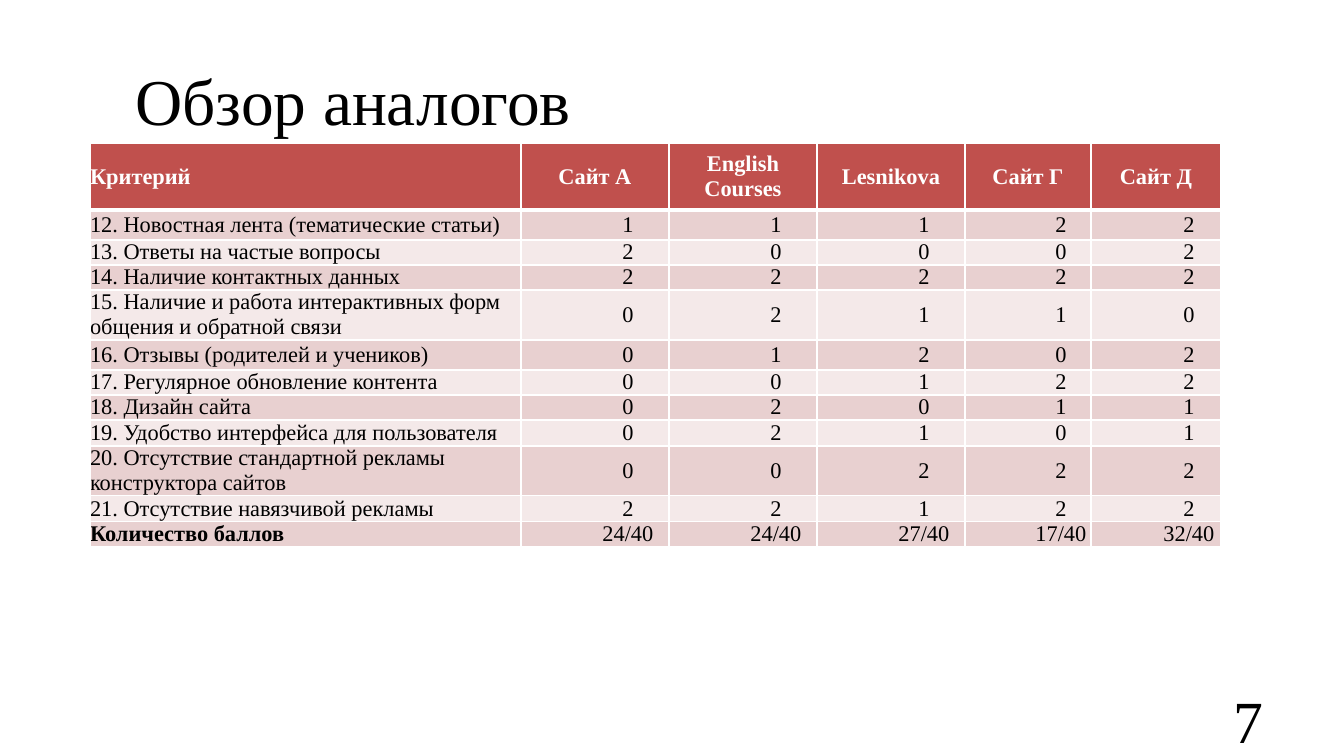
from lxml.etree import SubElement
from pptx import Presentation
from pptx.dml.color import RGBColor
from pptx.enum.text import MSO_ANCHOR as Anchor, MSO_AUTO_SIZE as AutoSize, PP_ALIGN as Align
from pptx.oxml.ns import qn
from pptx.util import Emu, Pt

EMU_PER_PX = 914400 / 134.4
FONT = "Times New Roman"
COLORS = {
    "text": "000000",
    "white": "FFFFFF",
    "header": "C0504D",
    "odd_row": "E8D0D0",
    "even_row": "F4E9E9",
}
COLUMN_WIDTHS = [431, 148, 148, 148, 126, 130]
ROW_HEIGHTS = [67, 30, 25, 25, 50, 30, 25, 25, 26, 50, 26, 25]
SCORE_INDENT = 66
HEADERS = ["Критерий", "Сайт А", "English Courses", "Lesnikova",
           "Сайт Г", "Сайт Д"]
SCORES = [
    ("12. Новостная лента (тематические статьи)", "1 1 1 2 2"),
    ("13. Ответы на частые вопросы", "2 0 0 0 2"),
    ("14. Наличие контактных данных", "2 2 2 2 2"),
    ("15. Наличие и работа интерактивных форм общения и обратной связи", "0 2 1 1 0"),
    ("16. Отзывы (родителей и учеников)", "0 1 2 0 2"),
    ("17. Регулярное обновление контента", "0 0 1 2 2"),
    ("18. Дизайн сайта", "0 2 0 1 1"),
    ("19. Удобство интерфейса для пользователя", "0 2 1 0 1"),
    ("20. Отсутствие стандартной рекламы конструктора сайтов", "0 0 2 2 2"),
    ("21. Отсутствие навязчивой рекламы", "2 2 1 2 2"),
    ("Количество баллов", "24/40 24/40 27/40 17/40 32/40"),
]


def px(length):
    return Emu(round(length * EMU_PER_PX))


def rgb(name):
    return RGBColor.from_string(COLORS[name])


def write_text(text_frame, text, size, align, color="text", bold=False):
    text_frame.text = text
    text_frame.word_wrap = True
    paragraph = text_frame.paragraphs[0]
    paragraph.alignment = align
    font = paragraph.font
    font.name, font.size, font.bold = FONT, Pt(size), bold
    font.color.rgb = rgb(color)
    return paragraph


def add_title(slide, text):
    title = slide.shapes.title
    title.left, title.top, title.width, title.height = map(px, (122, 54, 1199, 91))
    title.text_frame.auto_size = AutoSize.NONE
    title.text_frame.vertical_anchor = Anchor.MIDDLE
    write_text(title.text_frame, text, 35, Align.LEFT)


def add_slide_number(slide, number):
    box = slide.shapes.add_textbox(*map(px, (964, 700, 313, 40)))
    box.text_frame.vertical_anchor = Anchor.MIDDLE
    write_text(box.text_frame, number, 32, Align.RIGHT)


def set_borders(cell, bottom_width):
    """Draw white borders; they must stand before the cell's fill."""
    properties = cell._tc.get_or_add_tcPr()
    for side, width in (("L", 1), ("R", 1), ("T", 1), ("B", bottom_width)):
        line = SubElement(properties, qn(f"a:ln{side}"), w=str(Pt(width)))
        fill = SubElement(line, qn("a:solidFill"))
        SubElement(fill, qn("a:srgbClr"), val=COLORS["white"])


def format_cell(cell, text, row, column):
    is_header, is_score = row == 0, row > 0 and column > 0
    is_total_label = row == len(SCORES) and column == 0
    cell.margin_left = cell.margin_right = cell.margin_top = cell.margin_bottom = 0
    cell.vertical_anchor = Anchor.MIDDLE
    set_borders(cell, 3 if is_header else 1)
    cell.fill.solid()
    cell.fill.fore_color.rgb = rgb(
        "header" if is_header else "odd_row" if row % 2 else "even_row")
    paragraph = write_text(
        cell.text_frame, text, 12, Align.CENTER if column else Align.LEFT,
        "white" if is_header else "text", is_header or is_total_label)
    if is_score:
        paragraph._p.get_or_add_pPr().set("indent", str(px(SCORE_INDENT)))
    elif not is_header:
        paragraph.space_after = Pt(10)


def add_score_table(slide):
    rows = [HEADERS] + [[name, *scores.split()] for name, scores in SCORES]
    table = slide.shapes.add_table(
        len(rows), len(HEADERS), px(90), px(143),
        px(sum(COLUMN_WIDTHS)), px(sum(ROW_HEIGHTS))).table
    for column, width in zip(table.columns, COLUMN_WIDTHS):
        column.width = px(width)
    for row, height in zip(table.rows, ROW_HEIGHTS):
        row.height = px(height)
    for row, texts in enumerate(rows):
        for column, text in enumerate(texts):
            format_cell(table.cell(row, column), text, row, column)


def main():
    presentation = Presentation()
    presentation.slide_width, presentation.slide_height = px(1344), px(756)
    slide = presentation.slides.add_slide(presentation.slide_layouts[5])
    # Heading
    add_title(slide, "Обзор аналогов")
    # Comparison of sites by criterion
    add_score_table(slide)
    # Footer
    add_slide_number(slide, "7")
    presentation.save("out.pptx")


if __name__ == "__main__":
    main()
